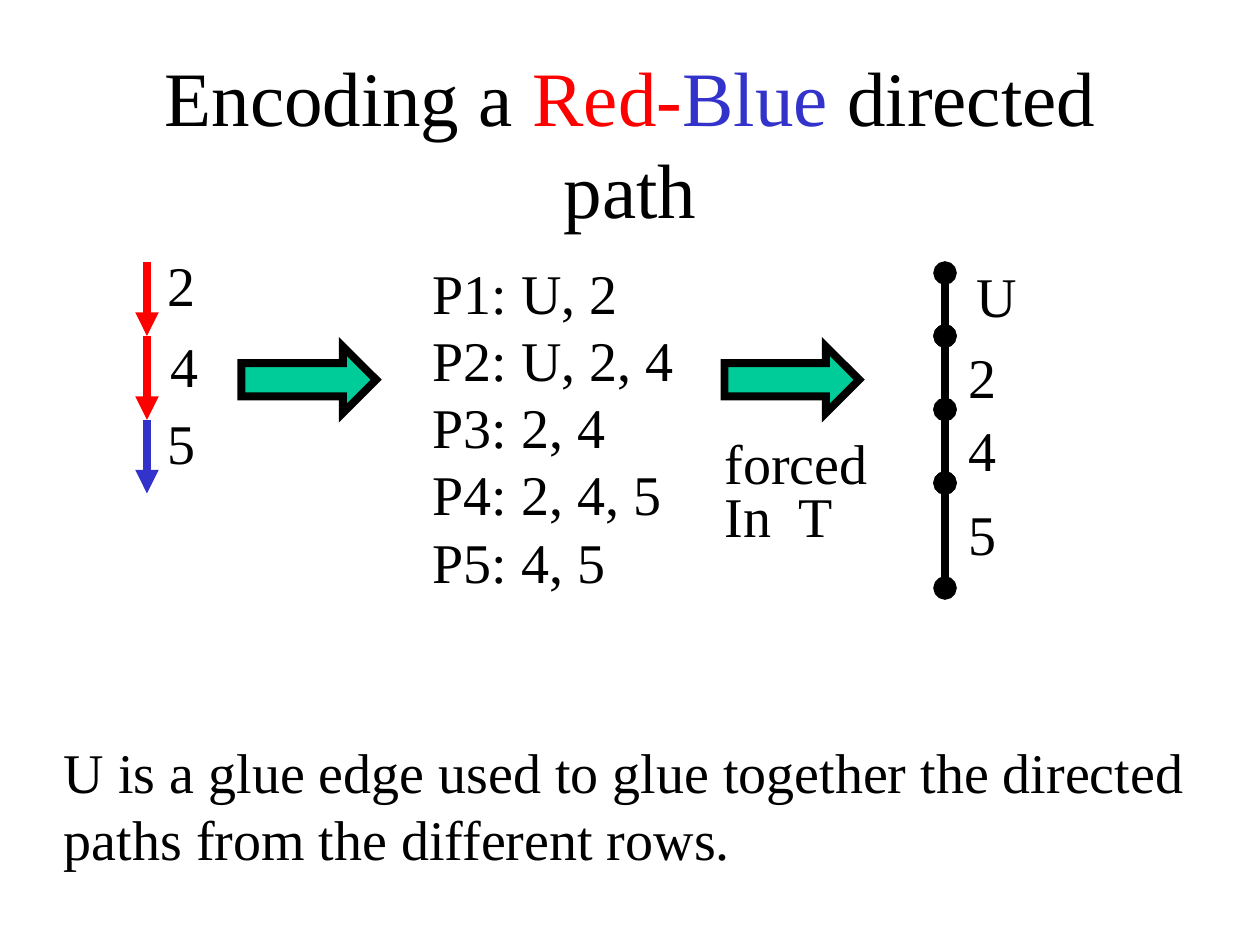
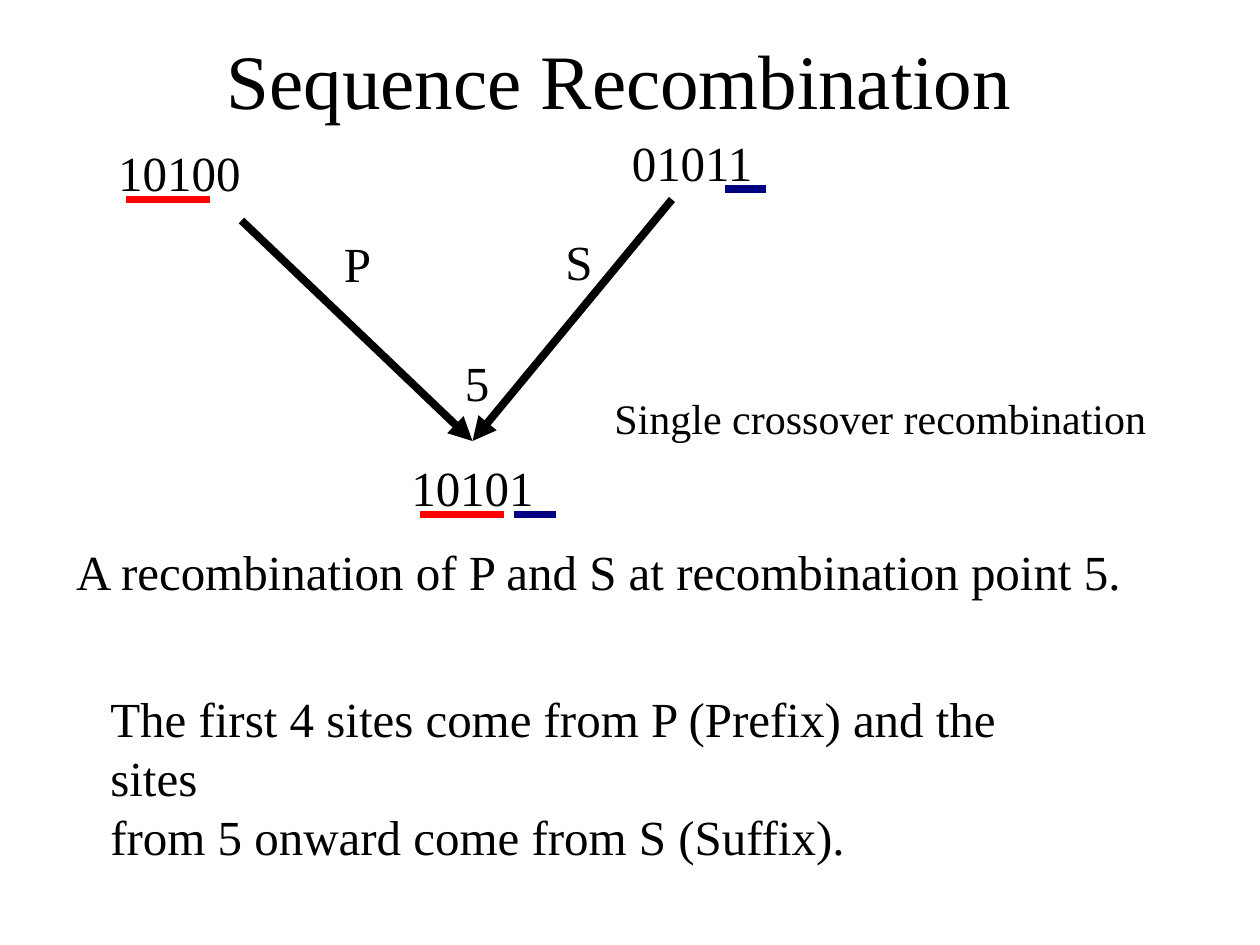
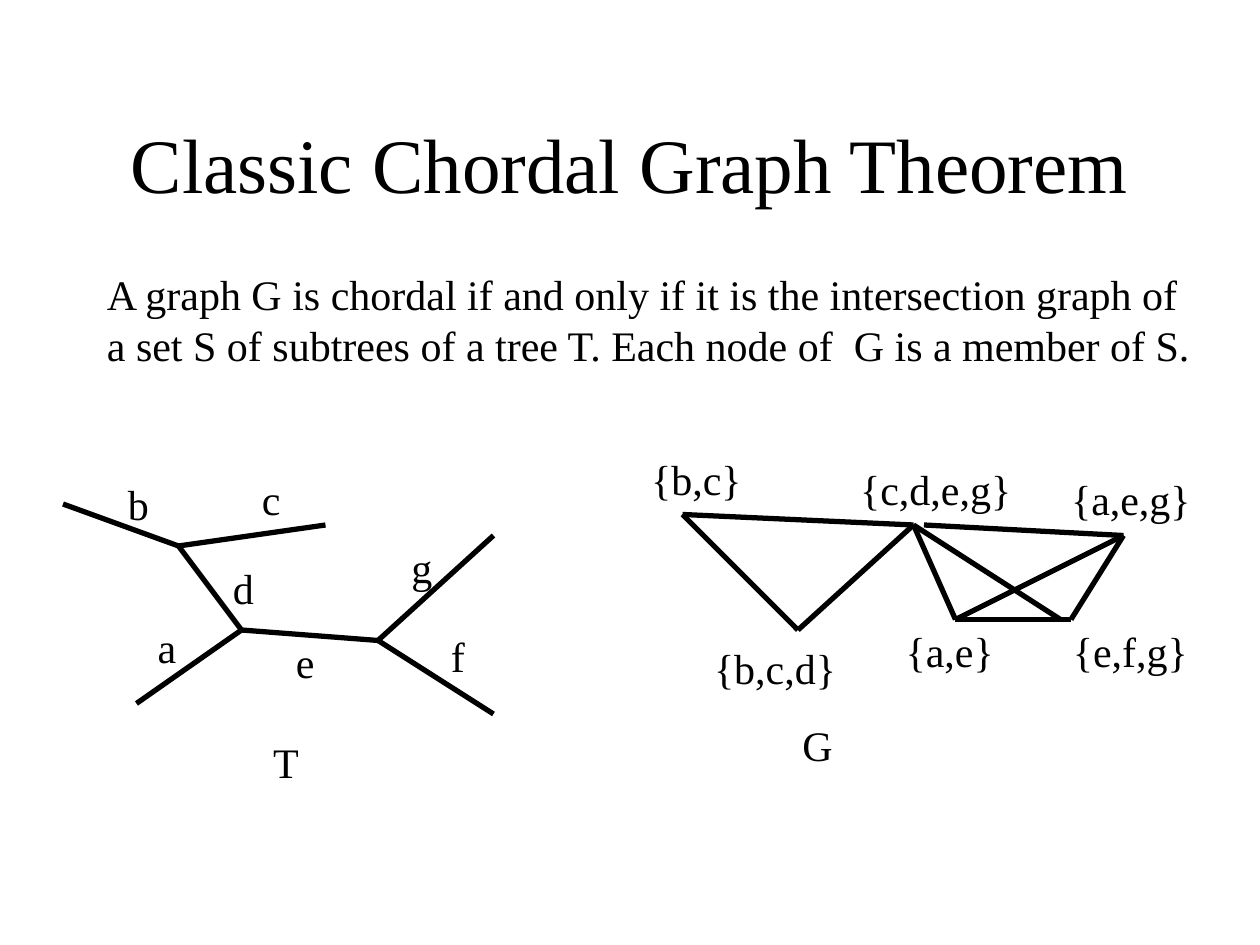
from dataclasses import dataclass
from itertools import pairwise

from pptx import Presentation
from pptx.dml.color import RGBColor
from pptx.enum.shapes import MSO_CONNECTOR as Connector, MSO_SHAPE as Shape
from pptx.enum.text import MSO_ANCHOR as Anchor, MSO_AUTO_SIZE as AutoSize, PP_ALIGN as Align
from pptx.oxml.ns import qn
from pptx.util import Pt
from lxml.etree import SubElement


@dataclass(frozen=True)
class Theme:
    """Colours, font, type sizes, line weights and text slack of the deck."""
    black: RGBColor = RGBColor(0x00, 0x00, 0x00)
    red: RGBColor = RGBColor(0xFF, 0x00, 0x00)
    blue: RGBColor = RGBColor(0x33, 0x33, 0xCC)
    navy: RGBColor = RGBColor(0x00, 0x00, 0x80)
    green: RGBColor = RGBColor(0x00, 0xCC, 0x99)
    font: str = "Times New Roman"
    title: int = 44
    large: int = 32
    medium: int = 28
    small: int = 24
    heavy: float = 4.5
    thin: float = 3
    slack: float = 4


theme = Theme()


def add_label(slide, text, left, top, width, size):
    """Add black text in a box a little wider than it; each line is a paragraph."""
    height = 1.2 * size * (text.count("\n") + 1) + 7.2
    box = slide.shapes.add_textbox(Pt(left), Pt(top), Pt(width + theme.slack), Pt(height))
    frame = box.text_frame
    frame.text = text
    frame.word_wrap = True
    for paragraph in frame.paragraphs:
        for run in paragraph.runs:
            run.font.name = theme.font
            run.font.size = Pt(size)
            run.font.color.rgb = theme.black


def add_line(slide, start, end, weight, color=theme.black, head=None, tail=None):
    """Add a straight line, with optional ends of the given kinds."""
    line = slide.shapes.add_connector(Connector.STRAIGHT, *map(Pt, start + end))
    line.line.color.rgb = color
    line.line.width = Pt(weight)
    outline = line.line._get_or_add_ln()
    for tag, kind in (("a:headEnd", head), ("a:tailEnd", tail)):
        if kind:
            SubElement(outline, qn(tag), type=kind)
    SubElement(line._element.spPr, qn("a:effectLst"))


deck = Presentation()
deck.slide_width, deck.slide_height = Pt(720), Pt(540)
title_only = deck.slide_layouts[5]

# Titles
titles = [
    (54, 36, [("Encoding a ", theme.black), ("Red-", theme.red),
              ("Blue", theme.blue), (" directed path", theme.black)]),
    (48, 0, [("Sequence Recombination", theme.black)]),
    (54, 48, [("Classic Chordal Graph Theorem", theme.black)]),
]
for left, top, parts in titles:
    title = deck.slides.add_slide(title_only).shapes.title
    title.left, title.top, title.width, title.height = map(Pt, (left, top, 612, 90))
    title.text_frame.auto_size = AutoSize.NONE
    title.text_frame.vertical_anchor = Anchor.MIDDLE
    heading = title.text_frame.paragraphs[0]
    heading.alignment = Align.CENTER
    for words, color in parts:
        run = heading.add_run()
        run.text = words
        run.font.name = theme.font
        run.font.size = Pt(theme.title)
        run.font.color.rgb = color

encoding, recombination, chordal = deck.slides

# Slide 1: directed path, its encoding and the forced path in T
path_colors = [theme.red, theme.red, theme.blue]
for (top, bottom), color in zip(pairwise([150, 192, 240, 282]), path_colors):
    add_line(encoding, (84, top), (84, bottom), theme.heavy, color, tail="triangle")

for top, bottom in pairwise([156, 192, 234, 276, 336]):
    add_line(encoding, (540, top), (540, bottom), theme.heavy, head="oval", tail="oval")

for left in (138, 414):
    step = encoding.shapes.add_shape(Shape.RIGHT_ARROW, Pt(left), Pt(198), Pt(77), Pt(38))
    step.adjustments[0], step.adjustments[1] = 0.5, 0.5
    step.shadow.inherit = False
    step.fill.solid()
    step.fill.fore_color.rgb = theme.green
    step.line.color.rgb = theme.black
    step.line.width = Pt(theme.heavy)
    SubElement(step.line._get_or_add_ln(), qn("a:miter"), lim="800000")

for text, left, top, width in [
    ("2", 88.5, 139.5, 30),
    ("4", 90.3, 186, 30),
    ("5", 88.5, 230, 30),
    ("P1: U, 2\nP2: U, 2, 4\nP3: 2, 4\nP4: 2, 4, 5\nP5: 4, 5", 240, 144, 152),
    ("U", 551, 146, 37.5),
    ("2", 546.5, 192, 30),
    ("4", 546.5, 234, 30),
    ("5", 546.5, 282, 30),
    ("forced", 407, 241.5, 96),
    ("In  T", 407, 271.5, 76),
    ("U is a glue edge used to glue together the directed\n"
     "paths from the different rows.", 29.5, 418, 654.5),
]:
    add_label(encoding, text, left, top, width, theme.large)

# Slide 2: prefix and suffix meet at the recombination point
for parent in ((138, 126), (384, 114)):
    add_line(recombination, parent, (270, 252), theme.heavy, tail="triangle")

for left, right, level, color in [
    (72, 120, 114, theme.red),
    (414, 438, 108, theme.navy),
    (294, 318, 294, theme.navy),
    (240, 288, 294, theme.red),
]:
    add_line(recombination, (left, level), (right, level), theme.heavy, color)

for text, left, top, width in [
    ("10100", 60.5, 78, 84),
    ("01011", 354, 72, 84),
    ("P", 189.5, 130, 29.5),
    ("S", 316, 129, 29.5),
    ("5", 258.5, 198, 28),
    ("10101", 228, 258, 84),
    ("A recombination of P and S at recombination point 5.", 36.5, 306, 613.5),
    ("The first 4 sites come from P (Prefix) and the sites\n"
     "from 5 onward come from S (Suffix).", 56, 390, 566),
]:
    add_label(recombination, text, left, top, width, theme.medium)
add_label(recombination, "Single crossover recombination", 344, 221, 318, theme.small)

# Slide 3: tree T and its intersection graph G
fork_bcd, fork_ade, fork_efg = (102, 312), (138, 360), (216, 366)
tree_edges = [
    ((78, 402), fork_ade),    # a
    ((36, 288), fork_bcd),    # b
    (fork_bcd, (186, 300)),   # c
    (fork_bcd, fork_ade),     # d
    (fork_ade, fork_efg),     # e
    (fork_efg, (282, 408)),   # f
    (fork_efg, (282, 306)),   # g
]
bc, bcd, cdeg = (390, 294), (456, 360), (522, 300)
ae, efg, aeg = (546, 354), (612, 354), (642, 306)
graph_edges = [
    (bc, cdeg), (bc, bcd), (bcd, cdeg), (cdeg, ae), (cdeg, (606, 354)),
    ((528, 300), aeg), (ae, efg), (ae, aeg), (aeg, efg),
]
for start, end in tree_edges + graph_edges:
    add_line(chordal, start, end, theme.thin)

for text, left, top, width in [
    ("A graph G is chordal if and only if it is the intersection graph of\n"
     "a set S of subtrees of a tree T. Each node of  G is a member of S.", 54, 150, 635),
    ("a", 83, 351.5, 25),
    ("b", 66, 270, 26),
    ("c", 142.5, 267, 25),
    ("d", 126, 318, 26),
    ("e", 162, 360, 25),
    ("f", 250.5, 357, 22.5),
    ("g", 228, 306, 26),
    ("T", 149, 417.5, 29),
    ("{b,c}", 365, 255.5, 66),
    ("{b,c,d}", 401, 363.5, 84),
    ("{c,d,e,g}", 484.5, 261.5, 101),
    ("{a,e}", 510.5, 354, 65),
    ("{e,f,g}", 606, 354, 80),
    ("{a,e,g}", 605, 267, 83),
    ("G", 451.5, 407.5, 31.5),
]:
    add_label(chordal, text, left, top, width, theme.small)

deck.save("out.pptx")
